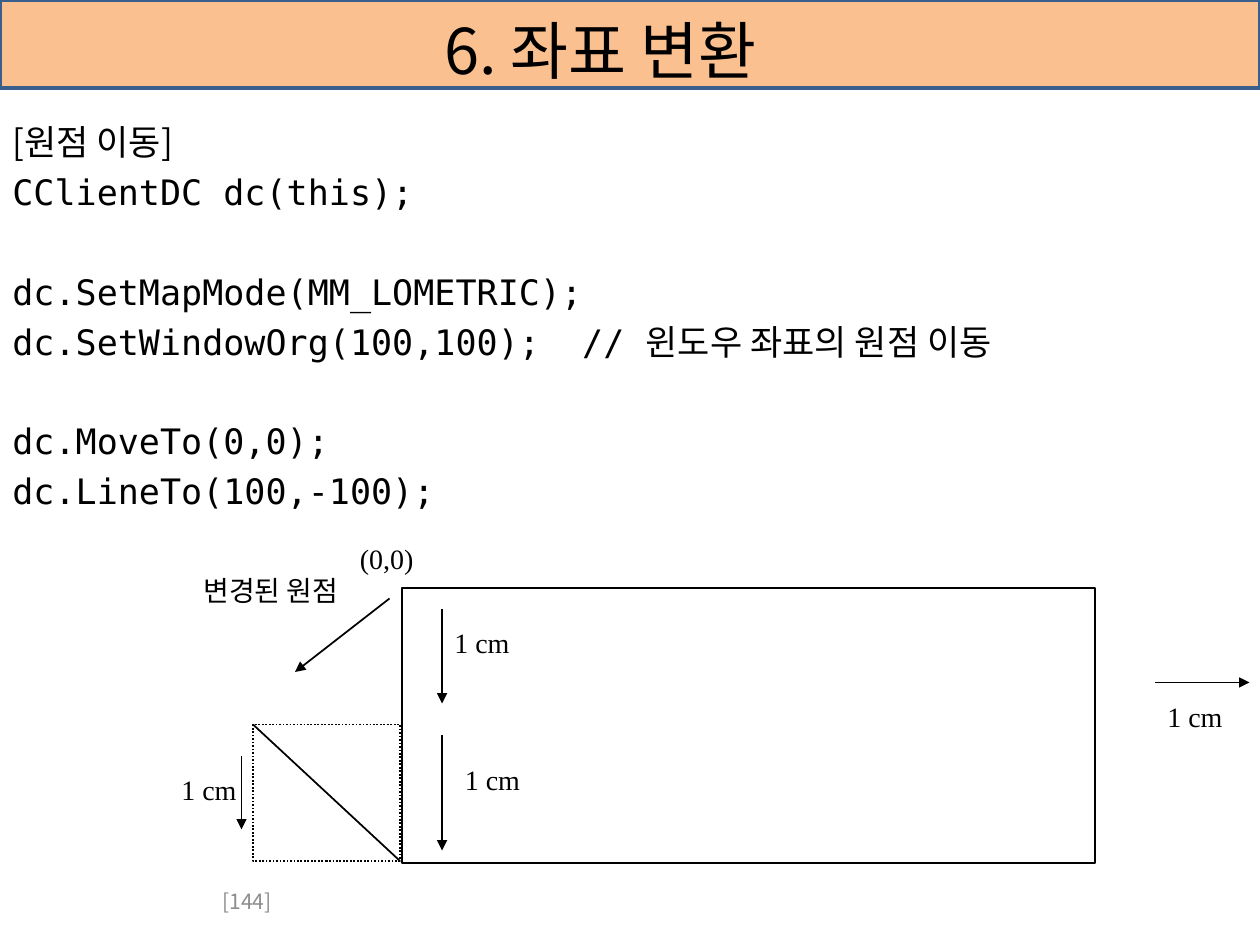
import pptx
import pptx.util
import pptx.dml.color
import pptx.enum.dml
import pptx.enum.shapes
import pptx.enum.text
import pptx.oxml.ns
import lxml.etree

SCALE = 7620
COLORS = {"banner": "FAC090", "banner_edge": "3A5F8C", "ink": "000000", "page": "8C8C8C"}
SANS, MONO, SERIF = "Noto Sans CJK KR", "DejaVu Sans Mono", "Times New Roman"
ALIGN = pptx.enum.text.PP_ALIGN
ANCHOR = pptx.enum.text.MSO_ANCHOR
FIT = pptx.enum.text.MSO_AUTO_SIZE.SHAPE_TO_FIT_TEXT


def px(*lengths):
    return [pptx.util.Emu(length * SCALE) for length in lengths]


def rgb(name):
    return pptx.dml.color.RGBColor.from_string(COLORS[name])


def apply(target, formats):
    for key, value in formats.items():
        setattr(target, key, value)


def add_words(paragraph, words, size, face, color="ink", **formats):
    apply(paragraph, formats)
    run = paragraph.add_run()
    run.text = words
    apply(run.font, {"size": pptx.util.Pt(size), "name": face})
    run.font.color.rgb = rgb(color)
    if face == SANS:
        east_asian = lxml.etree.SubElement(run.font._element, pptx.oxml.ns.qn("a:ea"))
        east_asian.set("typeface", face)


def add_frame(slide, box, **formats):
    frame = slide.shapes.add_textbox(*px(*box)).text_frame
    apply(frame, {"word_wrap": True, **formats})
    return frame


def add_rectangle(slide, box, edge, weight, fill=None, dash=None):
    rectangle = slide.shapes.add_shape(
        pptx.enum.shapes.MSO_SHAPE.RECTANGLE, *px(*box))
    rectangle.shadow.inherit = False
    if fill:
        rectangle.fill.solid()
        rectangle.fill.fore_color.rgb = rgb(fill)
    else:
        rectangle.fill.background()
    rectangle.line.color.rgb = rgb(edge)
    apply(rectangle.line, {"width": pptx.util.Pt(weight), "dash_style": dash})


def add_line(slide, ends, arrow=False):
    line = slide.shapes.add_connector(
        pptx.enum.shapes.MSO_CONNECTOR.STRAIGHT, *px(*ends))
    line.line.color.rgb = rgb("ink")
    line.line.width = pptx.util.Pt(1)
    if arrow:
        tail = lxml.etree.SubElement(line.line._get_or_add_ln(), pptx.oxml.ns.qn("a:tailEnd"))
        tail.set("type", "triangle")
    lxml.etree.SubElement(line._element.spPr, pptx.oxml.ns.qn("a:effectLst"))


def build_banner(slide, left, top, width, height):
    add_rectangle(slide, (left, top, width, height), "banner_edge", 2, "banner")
    title = add_frame(slide, (left + 19, top, width - 94, height + 10),
                      vertical_anchor=ANCHOR.MIDDLE)
    add_words(title.paragraphs[0], "6. 좌표 변환", 36, SANS, alignment=ALIGN.CENTER)


def build_code(slide, left, top, width, height):
    listing = add_frame(slide, (left, top, width, height), auto_size=FIT)
    add_words(listing.paragraphs[0], "[원점 이동]", 20, SANS, line_spacing=0.9)
    line_gap, block_gap = 4.7, 32.7
    code = [
        ("CClientDC dc(this);", line_gap),
        ("dc.SetMapMode(MM_LOMETRIC);", block_gap),
        ("dc.SetWindowOrg(100,100);  // 윈도우 좌표의 원점 이동", line_gap),
        ("dc.MoveTo(0,0);", block_gap),
        ("dc.LineTo(100,-100);", line_gap),
    ]
    for statement, gap in code:
        add_words(listing.add_paragraph(), statement, 20, MONO,
                  space_before=pptx.util.Pt(gap))


def build_diagram(slide, left, top):
    add_rectangle(slide, (left + 223, top + 50, 660, 262), "ink", 1)
    add_rectangle(slide, (left + 81, top + 180, 140, 130), "ink", 1,
                  dash=pptx.enum.dml.MSO_LINE.ROUND_DOT)

    lines = [
        ((81, 180, 221, 310), False),
        ((70, 210, 70, 280), True),
        ((261, 190, 261, 300), True),
        ((261, 70, 261, 160), True),
        ((940, 140, 1030, 140), True),
        ((211, 60, 121, 130), True),
    ]
    for (x1, y1, x2, y2), arrow in lines:
        add_line(slide, (left + x1, top + y1, left + x2, top + y2), arrow)

    labels = [
        ("1 cm", 1, 220, 77, ALIGN.LEFT),
        ("1 cm", 271, 210, 77, ALIGN.LEFT),
        ("1 cm", 261, 80, 77, ALIGN.LEFT),
        ("1 cm", 940, 150, 77, ALIGN.LEFT),
        ("(0,0)", 171, 0, 76, ALIGN.LEFT),
        ("변경된 원점", 10, 30, 164, ALIGN.RIGHT),
    ]
    for words, x, y, width, alignment in labels:
        label = add_frame(slide, (left + x, top + y, width, 44),
                          word_wrap=False, auto_size=FIT)
        add_words(label.paragraphs[0], words, 16, SERIF, alignment=alignment)


def build_page_number(slide, left, top, width, height):
    footer = add_frame(slide, (left, top, width, height), vertical_anchor=ANCHOR.MIDDLE)
    add_words(footer.paragraphs[0], "[144]", 12, SANS, "page")


def main():
    deck = pptx.Presentation()
    deck.slide_width, deck.slide_height = px(1200, 900)
    slide = deck.slides.add_slide(deck.slide_layouts[6])
    build_banner(slide, 0, 0, 1200, 84)
    build_code(slide, 0, 113, 1200, 420)
    build_page_number(slide, 200, 834, 280, 48)
    build_diagram(slide, 160, 510)
    deck.save("out.pptx")


if __name__ == "__main__":
    main()
